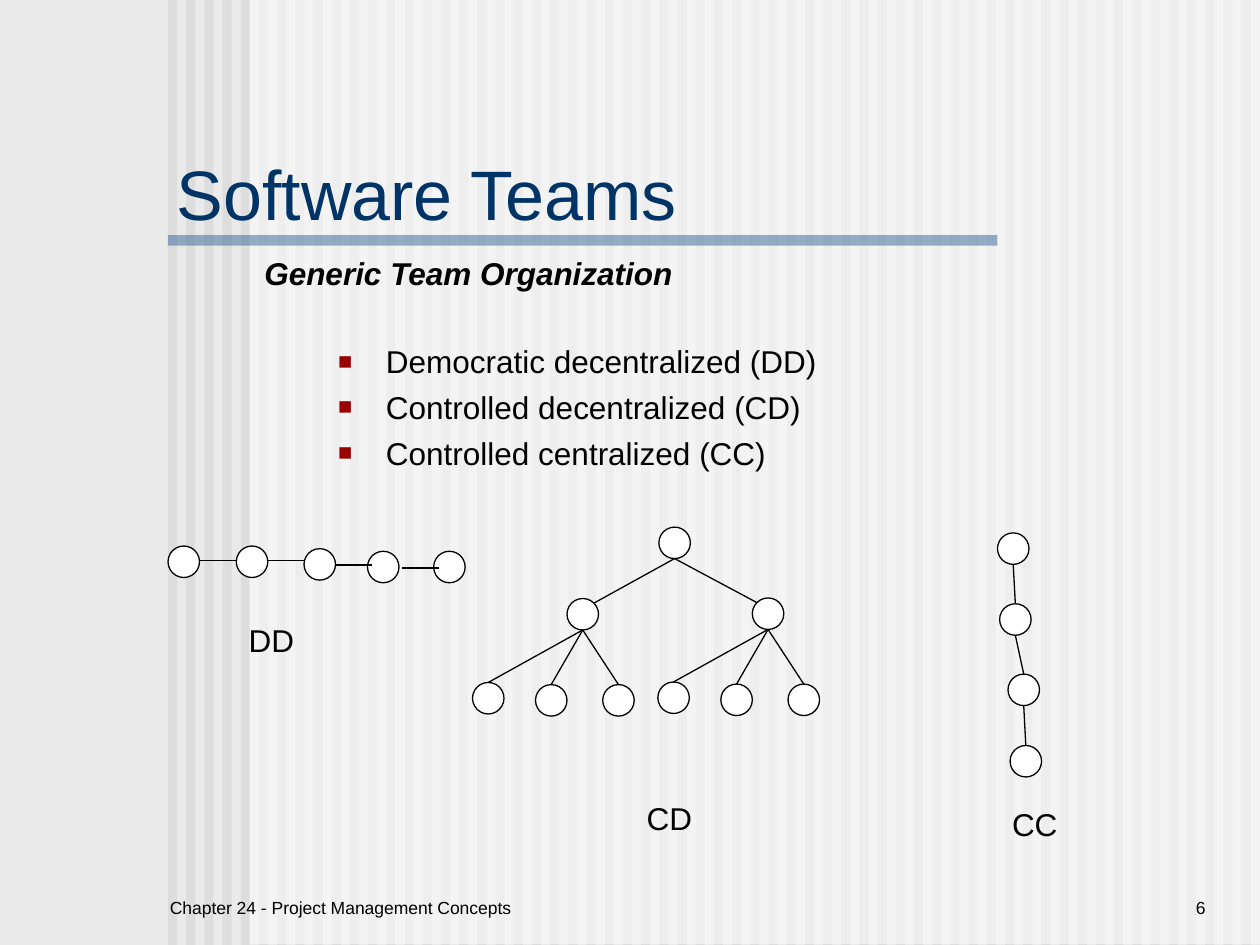
from dataclasses import dataclass
from itertools import pairwise

from lxml.etree import SubElement
from pptx import Presentation
from pptx.dml.color import RGBColor
from pptx.enum.shapes import MSO_CONNECTOR, MSO_SHAPE
from pptx.enum.text import MSO_ANCHOR, MSO_AUTO_SIZE, PP_ALIGN
from pptx.oxml.ns import qn
from pptx.util import Inches, Pt

COLUMNS, ROWS = 120, 90
CELL = Inches(10) / COLUMNS
NODE = 3  # circle diameter in cells
PORTS = {"top": (0.5, 0), "bottom": (0.5, 1),
         "upper left": (0.15, 0.15), "upper right": (0.85, 0.15)}


@dataclass(frozen=True)
class Theme:
    font: str = "Arial"
    text: str = "000000"
    title: str = "003366"
    accent: str = "336699"
    bullet: str = "9A0000"
    background: str = "EAEAEA"
    stripe: str = "DDDDDD"
    white: str = "FFFFFF"
    title_size: int = 40
    text_size: int = 18
    footer_size: int = 10
    line_width: float = 0.75


THEME = Theme()


def cells(*lengths):
    """Turn columns and rows of the grid into slide units."""
    return [round(length * CELL) for length in lengths]


def fill_solid(fill, color, alpha=None):
    fill.solid()
    fill.fore_color.rgb = RGBColor.from_string(color)
    if alpha is not None:
        color_node = fill._xPr.find(qn("a:solidFill"))[0]
        SubElement(color_node, qn("a:alpha"), val=str(alpha * 1000))


def write_paragraph(paragraph, text, size, color=THEME.text, **styles):
    run = paragraph.add_run()
    run.text = text
    formats = {"name": THEME.font, "size": Pt(size), **styles}
    for attribute, value in formats.items():
        setattr(run.font, attribute, value)
    run.font.color.rgb = RGBColor.from_string(color)


def format_frame(frame, side=0.1, edge=0.05, anchor=MSO_ANCHOR.TOP):
    formats = {
        "word_wrap": True, "auto_size": MSO_AUTO_SIZE.NONE,
        "vertical_anchor": anchor,
        "margin_left": Inches(side), "margin_right": Inches(side),
        "margin_top": Inches(edge), "margin_bottom": Inches(edge),
    }
    for attribute, value in formats.items():
        setattr(frame, attribute, value)


def place(shape, *box):
    for attribute, value in zip(("left", "top", "width", "height"), cells(*box)):
        setattr(shape, attribute, value)


def add_label(slide, box, text, size=THEME.text_size, anchor=MSO_ANCHOR.TOP,
              align=PP_ALIGN.LEFT, line_spacing=None, **styles):
    frame = slide.shapes.add_textbox(*cells(*box)).text_frame
    format_frame(frame, anchor=anchor)
    paragraph = frame.paragraphs[0]
    paragraph.alignment = align
    paragraph.line_spacing = line_spacing
    write_paragraph(paragraph, text, size, **styles)


def add_band(shapes, box, color, alpha=None):
    band = shapes.add_shape(MSO_SHAPE.RECTANGLE, *cells(*box))
    band.shadow.inherit = False
    band.line.fill.background()
    fill_solid(band.fill, color, alpha)


def add_backdrop(slide):
    """Draw stripes, veil and title rule behind the placeholders."""
    fill_solid(slide.background.fill, THEME.background)
    backdrop = slide.shapes.add_group_shape()
    pitch = 1.733
    for stripe in range(60):
        add_band(backdrop.shapes, (16 + stripe * pitch, 0, pitch / 2, ROWS), THEME.stripe)
    add_band(backdrop.shapes, (23.75, 0, COLUMNS - 23.75, ROWS - 0.1), THEME.white, 50)
    add_band(backdrop.shapes, (16, 22.4, 79, 1), THEME.accent, 50)
    slide.shapes._spTree.insert(2, backdrop._element)


def fill_title(title, text):
    place(title, 16, 14, 50.2, 8.6)
    format_frame(title.text_frame, side=0.07, edge=0.03)
    paragraph = title.text_frame.paragraphs[0]
    paragraph.alignment = PP_ALIGN.LEFT
    write_paragraph(paragraph, text, THEME.title_size, THEME.title)


def add_bullet(paragraph):
    properties = paragraph._p.get_or_add_pPr()
    indent = Inches(0.38)
    properties.set("marL", str(indent))
    properties.set("indent", str(-indent))
    bullet_color = SubElement(properties, qn("a:buClr"))
    SubElement(bullet_color, qn("a:srgbClr"), val=THEME.bullet)
    SubElement(properties, qn("a:buSzPct"), val="75000")
    SubElement(properties, qn("a:buFont"), typeface=THEME.font)
    SubElement(properties, qn("a:buChar"), char="■")


def fill_list(body, items):
    place(body, 31, 32, 80, 48.4)
    frame = body.text_frame
    format_frame(frame)
    for index, item in enumerate(items):
        paragraph = frame.add_paragraph() if index else frame.paragraphs[0]
        add_bullet(paragraph)
        paragraph.space_before = Pt(4.5 if index else 0)
        write_paragraph(paragraph, item, THEME.text_size)


def add_member(slide, position):
    member = slide.shapes.add_shape(MSO_SHAPE.OVAL, *cells(*position, NODE, NODE))
    member.shadow.inherit = False
    fill_solid(member.fill, THEME.white)
    style_line(member.line)


def style_line(line):
    line.width = Pt(THEME.line_width)
    fill_solid(line.fill, THEME.text)


def add_link(slide, start, end):
    link = slide.shapes.add_connector(MSO_CONNECTOR.STRAIGHT, *cells(*start, *end))
    style_line(link.line)
    SubElement(link._element.spPr, qn("a:effectLst"))


def port(member, name):
    """Return the point on a member's circle where a link attaches."""
    return [edge + NODE * share for edge, share in zip(member, PORTS[name])]


def add_reporting_line(slide, manager, member, side="top"):
    add_link(slide, port(manager, "bottom"), port(member, side))


def add_democratic_team(slide):
    for member in [(16, 52), (22.5, 52), (28.95, 52.25), (35, 52.5), (41.3, 52.5)]:
        add_member(slide, member)
    for x, y in [(19, 53.4), (25.55, 53.4), (31.95, 53.8), (38.3, 54.1)]:
        add_link(slide, (x, y), (x + 3.5, y))


def add_controlled_tree(slide):
    leader = (62.75, 50.2)
    add_member(slide, leader)
    for x, y, side in [(54, 57, "upper right"), (71.65, 56.95, "upper left")]:
        senior = (x, y)
        add_member(slide, senior)
        add_reporting_line(slide, leader, senior, side)
        for across, down in [(-9, 8), (-3, 8.2), (3.4, 8.2)]:
            member = (x + across, y + down)
            add_member(slide, member)
            add_reporting_line(slide, senior, member)


def add_centralized_chain(slide):
    chain = [(95, 50.75), (95.2, 57.5), (96, 64.2), (96.2, 71)]
    for member in chain:
        add_member(slide, member)
    for manager, member in pairwise(chain):
        add_reporting_line(slide, manager, member)


def main():
    deck = Presentation()
    deck.slide_width, deck.slide_height = cells(COLUMNS, ROWS)
    slide = deck.slides.add_slide(deck.slide_layouts[1])
    add_backdrop(slide)
    fill_title(slide.shapes.title, "Software Teams")
    fill_list(slide.placeholders[1], ["Democratic decentralized (DD)",
                                      "Controlled decentralized (CD)",
                                      "Controlled centralized (CC)"])
    add_label(slide, (24, 24, 83, 4.4), "Generic Team Organization",
              line_spacing=0.9, bold=True, italic=True)
    add_democratic_team(slide)
    add_controlled_tree(slide)
    add_centralized_chain(slide)
    for team, x, y in [("DD", 22.5, 58.6), ("CD", 60.4, 75.5), ("CC", 95.2, 76.1)]:
        add_label(slide, (x, y, 14, 4.8), team)
    footer = {"size": THEME.footer_size, "anchor": MSO_ANCHOR.BOTTOM}
    add_label(slide, (15, 82, 72, 6), "Chapter 24 - Project Management Concepts", **footer)
    add_label(slide, (99, 82, 17, 6), "6", align=PP_ALIGN.RIGHT, **footer)
    deck.save("out.pptx")


if __name__ == "__main__":
    main()
